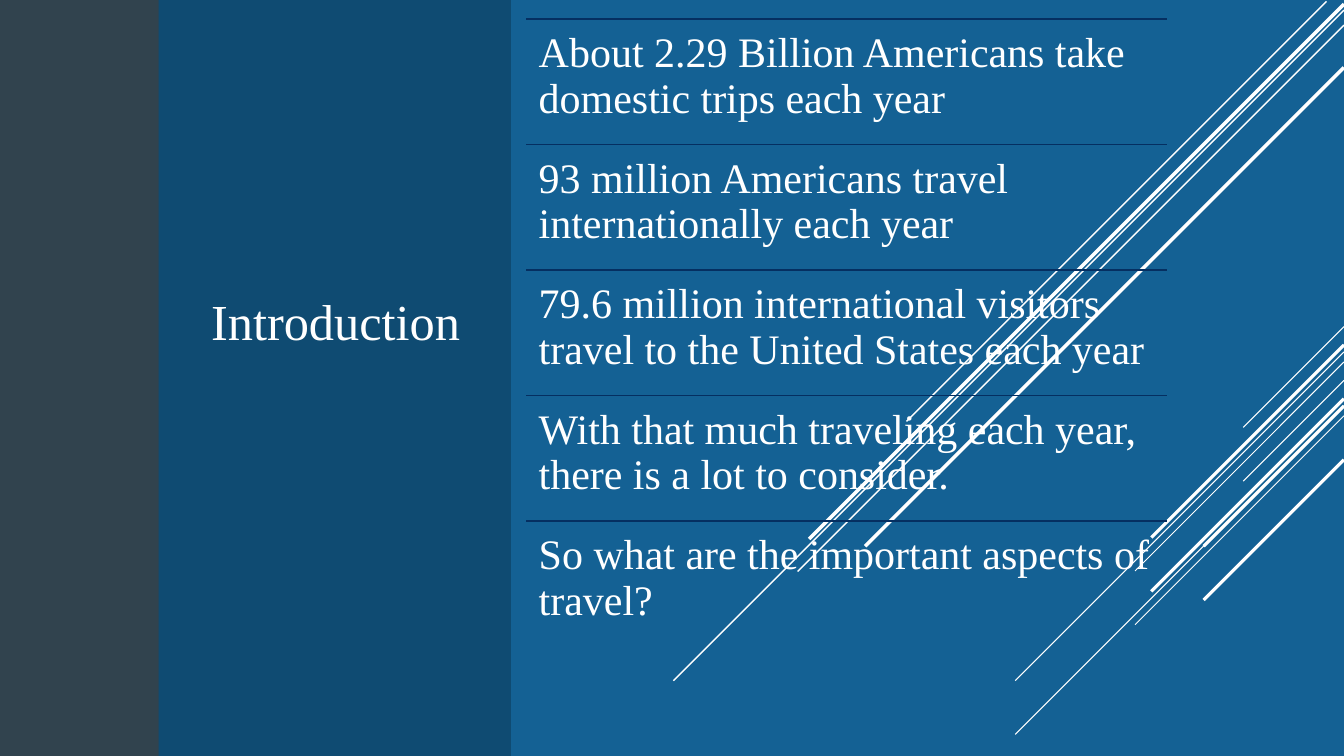
from dataclasses import dataclass

from lxml import etree
from pptx import Presentation
from pptx.dml.color import RGBColor
from pptx.enum import shapes, text
from pptx.oxml.ns import qn
from pptx.util import Pt


@dataclass(frozen=True)
class Theme:
    background: str = "146194"
    panel: str = "0F496F"
    edge: str = "404040"
    rule: str = "052F61"
    light: str = "FFFFFF"
    font: str = "Times New Roman"
    title_size: float = 36
    body_size: float = 30


@dataclass(frozen=True)
class Stripe:
    """A 45-degree line that falls to the left from its top right end."""
    right: float
    top: float
    run: float
    weight: float


THEME = Theme()
WIDTH, HEIGHT = 960, 540
LIST_LEFT, LIST_TOP, LIST_WIDTH, ROW_HEIGHT = 375.8, 13.5, 458, 89.65
LOWER_SHIFT = 38.4

UPPER_STRIPES = [
    Stripe(947.5, 1, 300, 1),
    Stripe(WIDTH, 7.2, 479, 1),
    Stripe(WIDTH, 18, 390.2, 1),
    Stripe(WIDTH, 3, 382, 2.5),
    Stripe(WIDTH, 48.2, 342, 2.5),
]
SIDE_STRIPES = [
    Stripe(WIDTH, 233.3, 72, 0.75),
    Stripe(WIDTH, 251.4, 234.8, 0.75),
    Stripe(WIDTH, 258.6, 149.2, 0.75),
    Stripe(WIDTH, 246.4, 137.6, 2.25),
    Stripe(WIDTH, 290, 100.2, 2.25),
]
POINTS = [
    "About 2.29 Billion Americans take domestic trips each year",
    "93 million Americans travel internationally each year",
    "79.6 million international visitors travel to the United States each year",
    "With that much traveling each year, there is a lot to consider.",
    "So what are the important aspects of travel?",
]


def add_line(slide, x1: float, y1: float, x2: float, y2: float,
             color: str, weight: float) -> None:
    line = slide.shapes.add_connector(
        shapes.MSO_CONNECTOR.STRAIGHT, Pt(x1), Pt(y1), Pt(x2), Pt(y2))
    line.line.color.rgb = RGBColor.from_string(color)
    line.line.width = Pt(weight)
    etree.SubElement(line.element.spPr, qn("a:effectLst"))


def add_stripes(slide, stripes: list[Stripe], shift: float = 0) -> None:
    for s in stripes:
        top = s.top + shift
        add_line(slide, s.right, top, s.right - s.run, top + s.run,
                 THEME.light, s.weight)


def add_panel(slide, width: float, color: str, opacity: int) -> None:
    sp = slide.shapes.add_shape(
        shapes.MSO_SHAPE.RECTANGLE, 0, 0, Pt(width), Pt(HEIGHT))
    sp.shadow.inherit = False
    sp.line.fill.background()
    sp.fill.solid()
    sp.fill.fore_color.rgb = RGBColor.from_string(color)
    clr = sp.element.spPr.find(qn("a:solidFill")).find(qn("a:srgbClr"))
    etree.SubElement(clr, qn("a:alpha"), val=str(opacity * 1000))


def write_text(sp, content: str, *, size: float, align, anchor,
               spacing: float = 1, inset: float | None = None) -> None:
    tf = sp.text_frame
    tf.word_wrap = True
    tf.auto_size = text.MSO_AUTO_SIZE.NONE
    tf.vertical_anchor = anchor
    if inset is not None:
        tf.margin_left = tf.margin_right = Pt(inset)
        tf.margin_top = tf.margin_bottom = Pt(inset)
    p = tf.paragraphs[0]
    p.alignment = align
    p.line_spacing = spacing
    r = p.add_run()
    r.text = content
    r.font.name = THEME.font
    r.font.size = Pt(size)
    r.font.color.rgb = RGBColor.from_string(THEME.light)


def place_title(slide, content: str) -> None:
    sp = slide.shapes.title
    sp.left, sp.top, sp.width, sp.height = Pt(110.9), Pt(203), Pt(257.8), Pt(51)
    write_text(sp, content, size=THEME.title_size,
               align=text.PP_ALIGN.CENTER, anchor=text.MSO_ANCHOR.BOTTOM)
    # Bring the title in front of the panels
    sp.element.getparent().append(sp.element)


def add_points(slide, points: list[str]) -> None:
    for i, point in enumerate(points):
        top = LIST_TOP + i * ROW_HEIGHT
        add_line(slide, LIST_LEFT, top, LIST_LEFT + LIST_WIDTH, top,
                 THEME.rule, 1.25)
        sp = slide.shapes.add_textbox(
            Pt(LIST_LEFT), Pt(top), Pt(LIST_WIDTH), Pt(ROW_HEIGHT))
        write_text(sp, point, size=THEME.body_size, align=text.PP_ALIGN.LEFT,
                   anchor=text.MSO_ANCHOR.TOP, spacing=0.9, inset=9)


def main() -> None:
    prs = Presentation()
    prs.slide_width, prs.slide_height = Pt(WIDTH), Pt(HEIGHT)
    slide = prs.slides.add_slide(prs.slide_layouts.get_by_name("Title Only"))
    slide.background.fill.solid()
    slide.background.fill.fore_color.rgb = RGBColor.from_string(THEME.background)

    # Diagonal stripes and side panels
    add_stripes(slide, SIDE_STRIPES)
    add_stripes(slide, UPPER_STRIPES)
    add_panel(slide, 365, THEME.panel, 90)
    add_panel(slide, 113.3, THEME.edge, 70)
    add_stripes(slide, SIDE_STRIPES, LOWER_SHIFT)

    # Title and ruled list
    place_title(slide, "Introduction")
    add_points(slide, POINTS)
    prs.save("out.pptx")


if __name__ == "__main__":
    main()
